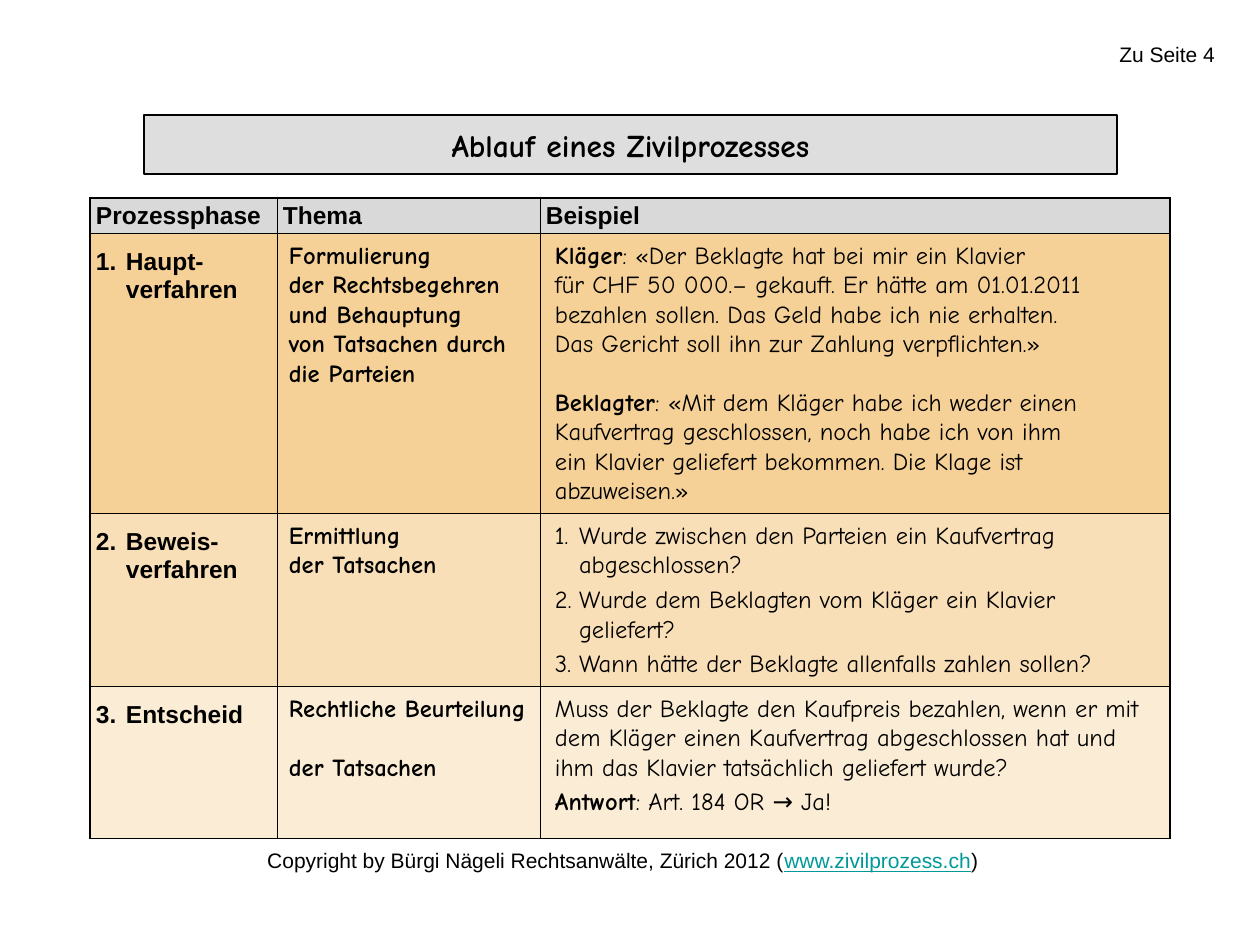
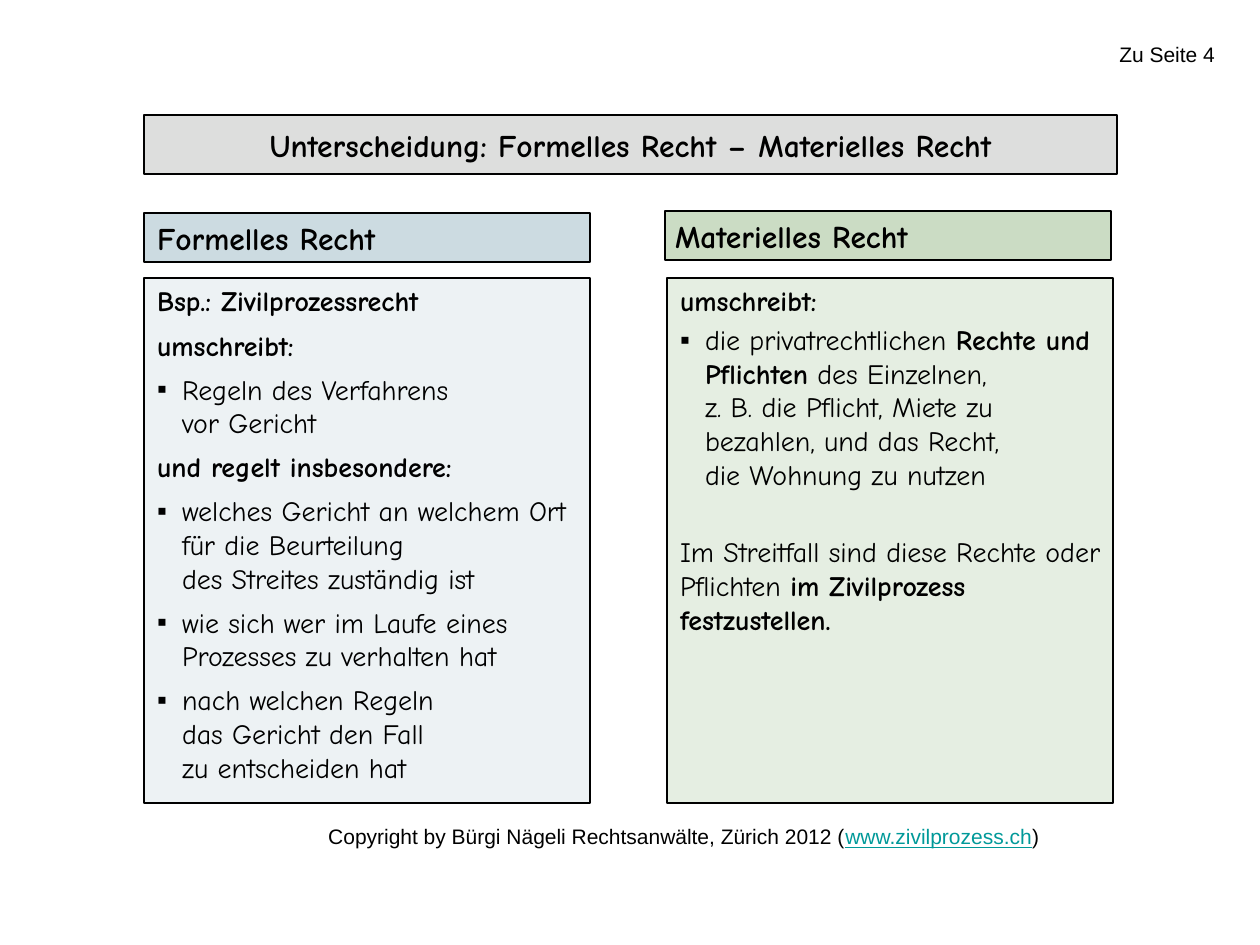
from lxml import etree
from pptx import Presentation
from pptx.dml.color import RGBColor
from pptx.enum.shapes import MSO_SHAPE
from pptx.enum.text import MSO_ANCHOR as ANCHOR, PP_ALIGN as ALIGN
from pptx.oxml.ns import qn
from pptx.util import Emu, Pt

BLACK = RGBColor(0, 0, 0)
BAND_GREY = RGBColor(0xDD, 0xDE, 0xDD)
HEADER_GREY = RGBColor(0xD9, 0xD9, 0xD9)
ORANGE = RGBColor(0xEF, 0xA5, 0x31)
BLUE = RGBColor(0x00, 0x4D, 0x6D)
GREEN = RGBColor(0x56, 0x8E, 0x3E)
LINK = RGBColor(0x00, 0x99, 0x99)
SANS, COMIC = "Arial", "Comic Neue"
SQUARE, NUMBER = "▪", "1."
BLANK_LINE = 16.8  # height of one skipped 14 pt line, in points


def px(length):
    return Emu(round(length * 914400 / 126))


def sub(parent, tag, **attributes):
    return etree.SubElement(parent, qn(tag), attributes)


def paint(owner, fill, color, opacity=100):
    """Fill a shape or cell; must run before other colours are set."""
    fill.solid()
    fill.fore_color.rgb = color
    if opacity < 100:
        color_node = next(owner.iter(qn("a:srgbClr")))
        sub(color_node, "a:alpha", val=str(opacity * 1000))


def style(run, size, font, bold=False, color=BLACK):
    run.font.size = Pt(size)
    run.font.name = font
    run.font.bold = bold
    run.font.color.rgb = color


def hang(paragraph, indent):
    props = paragraph._p.get_or_add_pPr()
    props.set("marL", str(px(indent)))
    props.set("indent", str(-px(indent)))
    return props


def add_bullet(paragraph, bullet, indent):
    props = hang(paragraph, indent)
    if bullet == NUMBER:
        sub(props, "a:buAutoNum", type="arabicPeriod")
    else:
        sub(props, "a:buFont", typeface=SANS)
        sub(props, "a:buChar", char=bullet)


def write(frame, paragraphs, size, font=COMIC, align=ALIGN.LEFT):
    """Each paragraph is (text, space before, bullet); *stars* mark bold."""
    for i, (text, before, bullet) in enumerate(paragraphs):
        paragraph = frame.paragraphs[0] if i == 0 else frame.add_paragraph()
        if bullet:
            add_bullet(paragraph, bullet, 25 if bullet == SQUARE else 24)
        paragraph.alignment = align
        if i:
            paragraph.space_before = Pt(before)
        for j, part in enumerate(text.split("*")):
            for k, line in enumerate(part.split("\n")):
                if k:
                    paragraph.add_line_break()
                if line:
                    run = paragraph.add_run()
                    run.text = line
                    style(run, size, font, bold=j % 2 == 1)


def set_frame(frame, insets=(13, 6, 13, 6), anchor=ANCHOR.TOP):
    frame.word_wrap = True
    frame.vertical_anchor = anchor
    (frame.margin_left, frame.margin_top,
     frame.margin_right, frame.margin_bottom) = map(px, insets)
    return frame


def text_box(slide, box, **layout):
    return set_frame(slide.shapes.add_textbox(*map(px, box)).text_frame, **layout)


def panel(slide, box, color, opacity=100, **layout):
    shape = slide.shapes.add_shape(MSO_SHAPE.RECTANGLE, *map(px, box))
    shape.shadow.inherit = False
    paint(shape._element, shape.fill, color, opacity)
    shape.line.color.rgb = BLACK
    shape.line.width = Pt(0.75)
    return set_frame(shape.text_frame, **layout)


# Shared page reference, title band and footer
def page_frame(prs, title, footer_box):
    slide = prs.slides.add_slide(prs.slide_layouts[6])
    page_ref = text_box(slide, (1076, 39, 139, 33), insets=(0, 3, 0, 6),
                        anchor=ANCHOR.MIDDLE)
    write(page_ref, [("Zu Seite 4", 0, None)], 12, SANS, ALIGN.RIGHT)
    band = panel(slide, (144, 115, 973, 59), BAND_GREY, anchor=ANCHOR.MIDDLE)
    write(band, [(f"*{title}*", 0, None)], 18, align=ALIGN.CENTER)

    footer = text_box(slide, footer_box, insets=(0, 6, 13, 6)).paragraphs[0]
    footer.alignment = ALIGN.RIGHT
    for text, color in (
            ("Copyright by Bürgi Nägeli Rechtsanwälte, Zürich 2012 (", BLACK),
            ("www.zivilprozess.ch", LINK), (")", BLACK)):
        run = footer.add_run()
        run.text = text
        style(run, 12, SANS, color=color)
        run.font.underline = color == LINK
    return slide


HEADERS = ["Prozessphase", "Thema", "Beispiel"]
COLUMN_WIDTHS = [187, 263, 630]
ROW_HEIGHTS = [34, 280, 173, 152]
# (phase, opacity of the row, topic, example)
PHASES = [
    ("1.\tHaupt-\nverfahren", 50,
     [("*Formulierung\nder Rechtsbegehren und Behauptung\n"
       "von Tatsachen durch die Parteien*", 0, None)],
     [("*Kläger*: «Der Beklagte hat bei mir ein Klavier\n"
       "für CHF 50 000.– gekauft. Er hätte am 01.01.2011 bezahlen sollen. "
       "Das Geld habe ich nie erhalten.\n"
       "Das Gericht soll ihn zur Zahlung verpflichten.»", 0, None),
      ("*Beklagter*: «Mit dem Kläger habe ich weder einen Kaufvertrag "
       "geschlossen, noch habe ich von ihm\n"
       "ein Klavier geliefert bekommen. Die Klage ist abzuweisen.»",
       BLANK_LINE, None)]),
    ("2.\tBeweis-\nverfahren", 35,
     [("*Ermittlung\nder Tatsachen*", 0, None)],
     [("Wurde zwischen den Parteien ein Kaufvertrag abgeschlossen?", 0, NUMBER),
      ("Wurde dem Beklagten vom Kläger ein Klavier geliefert?", 3, NUMBER),
      ("Wann hätte der Beklagte allenfalls zahlen sollen?", 3, NUMBER)]),
    ("3.\tEntscheid", 20,
     [("*Rechtliche Beurteilung*", 0, None),
      ("*der Tatsachen*", BLANK_LINE, None)],
     [("Muss der Beklagte den Kaufpreis bezahlen, wenn er mit dem Kläger "
       "einen Kaufvertrag abgeschlossen hat und ihm das Klavier tatsächlich "
       "geliefert wurde?", 0, None),
      ("*Antwort*: Art. 184 OR → Ja!", 3, None)]),
]


def draw_borders(cell, row, col):
    outer = {"L": col == 0, "R": col == len(COLUMN_WIDTHS) - 1,
             "T": row == 0, "B": row == len(ROW_HEIGHTS) - 1}
    props = cell._tc.get_or_add_tcPr()
    for i, (side, is_outer) in enumerate(outer.items()):
        border = etree.Element(qn(f"a:ln{side}"), w=str(Pt(1 if is_outer else 0.5)))
        sub(sub(border, "a:solidFill"), "a:srgbClr", val=str(BLACK))
        props.insert(i, border)


def phase_table(slide, left, top):
    table = slide.shapes.add_table(
        len(ROW_HEIGHTS), len(COLUMN_WIDTHS), px(left), px(top),
        px(sum(COLUMN_WIDTHS)), px(sum(ROW_HEIGHTS))).table
    for column, width in zip(table.columns, COLUMN_WIDTHS):
        column.width = px(width)
    for row, height in zip(table.rows, ROW_HEIGHTS):
        row.height = px(height)

    for r in range(len(ROW_HEIGHTS)):
        for c, header in enumerate(HEADERS):
            cell = table.cell(r, c)
            if r == 0:
                text, color, opacity = header, HEADER_GREY, 100
            else:
                phase, opacity = PHASES[r - 1][:2]
                text, color = (phase if c == 0 else ""), ORANGE
            paint(cell._tc, cell.fill, color, opacity)
            draw_borders(cell, r, c)
            cell.margin_left = cell.margin_right = px(6)
            cell.margin_top = px(15 if r else 3)
            cell.margin_bottom = px(3)
            cell.vertical_anchor = ANCHOR.TOP if r else ANCHOR.MIDDLE
            if text:
                write(cell.text_frame, [(f"*{text}*", 0, None)], 14, SANS)
                if r:
                    hang(cell.text_frame.paragraphs[0], 30)

    # Topics and examples lie over the cells of their row
    topic_left = left + COLUMN_WIDTHS[0] - 1
    example_left = topic_left + COLUMN_WIDTHS[1] + 3
    for r, (_, _, topic, example) in enumerate(PHASES, start=1):
        row_top = top + sum(ROW_HEIGHTS[:r]) + 2
        height = ROW_HEIGHTS[r] - 2
        write(text_box(slide, (topic_left, row_top, 266, height)), topic, 14)
        write(text_box(slide, (example_left, row_top, 625, height)), example, 14)


FORMAL_LAW = [
    ("*Bsp.: Zivilprozessrecht*", 0, None),
    ("*umschreibt:*", 6, None),
    ("Regeln des Verfahrens\nvor Gericht", 6, SQUARE),
    ("*und regelt insbesondere:*", 6, None),
    ("welches Gericht an welchem Ort für die Beurteilung\n"
     "des Streites zuständig ist", 6, SQUARE),
    ("wie sich wer im Laufe eines Prozesses zu verhalten hat", 6, SQUARE),
    ("nach welchen Regeln\ndas Gericht den Fall\nzu entscheiden hat", 6, SQUARE),
]
MATERIAL_LAW = [
    ("*umschreibt:*", 0, None),
    ("die privatrechtlichen *Rechte und Pflichten* des Einzelnen,\n"
     "z. B. die Pflicht, Miete zu bezahlen, und das Recht,\n"
     "die Wohnung zu nutzen", 3, SQUARE),
    ("Im Streitfall sind diese Rechte oder Pflichten "
     "*im Zivilprozess festzustellen.*", 25.2, None),
]


def law_column(slide, heading_at, body_at, heading, points, color,
               opacities, heading_inset):
    head = panel(slide, (*heading_at, 446, 49), color, opacities[0],
                 insets=(heading_inset, 6, heading_inset, 6),
                 anchor=ANCHOR.MIDDLE)
    write(head, [(f"*{heading}*", 0, None)], 18)
    body = panel(slide, (*body_at, 446, 525), color, opacities[1],
                 insets=(13, 6, 3, 6))
    write(body, points, 16)


def main():
    prs = Presentation()
    prs.slide_width, prs.slide_height = px(1260), px(945)

    process = page_frame(prs, "Ablauf eines Zivilprozesses", (88, 842, 903, 38))
    phase_table(process, 90, 198)

    comparison = page_frame(
        prs, "Unterscheidung: Formelles Recht – Materielles Recht",
        (141, 818, 911, 38))
    law_column(comparison, (144, 213), (144, 278), "Formelles Recht",
               FORMAL_LAW, BLUE, (20, 7), 13)
    law_column(comparison, (665, 211), (667, 278), "Materielles Recht",
               MATERIAL_LAW, GREEN, (30, 15), 10)
    prs.save("out.pptx")


if __name__ == "__main__":
    main()
